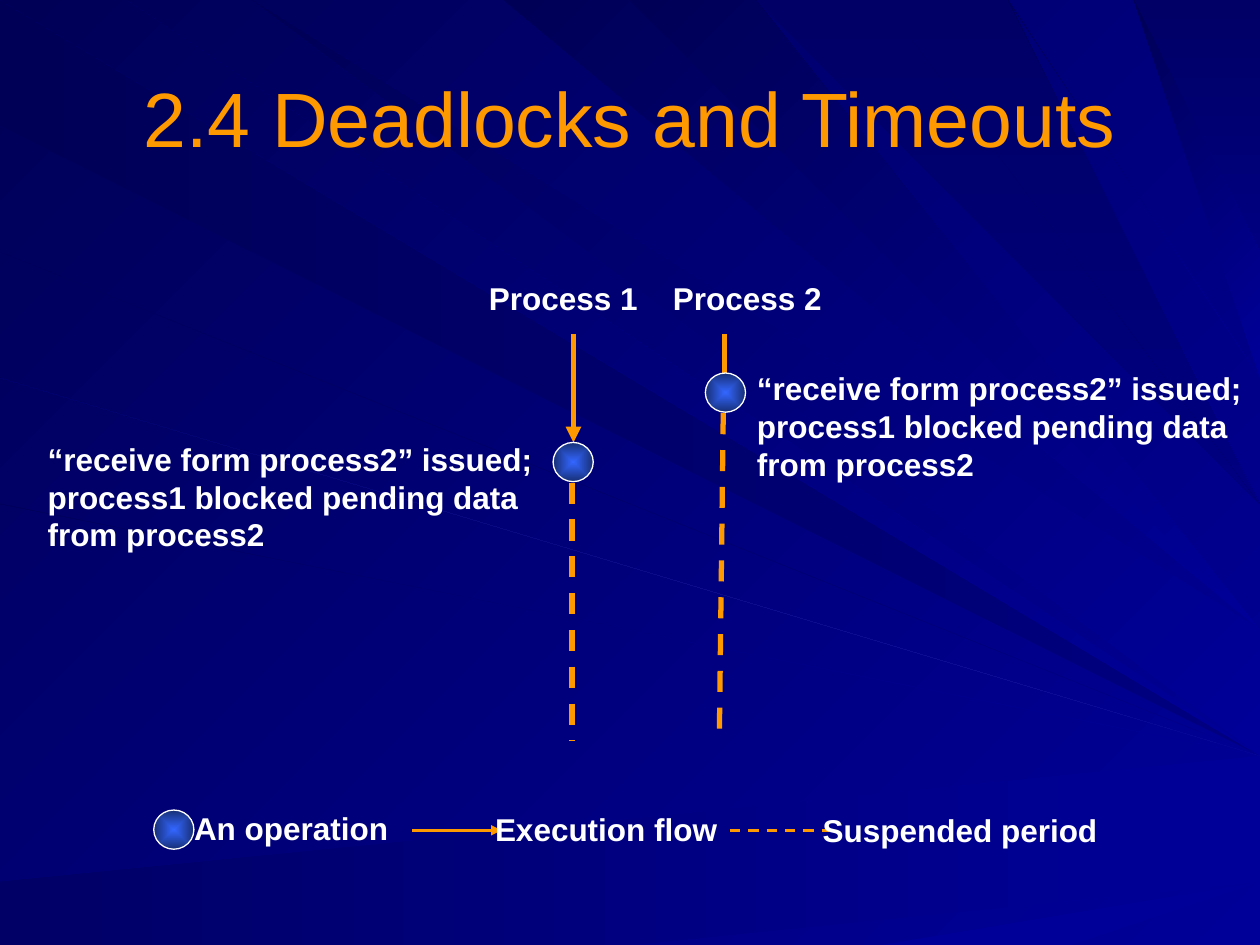
from lxml import etree
from pptx import Presentation
from pptx.dml.color import RGBColor
from pptx.enum.dml import MSO_LINE
from pptx.enum.shapes import MSO_CONNECTOR, MSO_SHAPE
from pptx.enum.text import MSO_ANCHOR, MSO_AUTO_SIZE, PP_ALIGN
from pptx.oxml.ns import qn
from pptx.util import Cm, Pt

ORANGE = RGBColor(0xFF, 0x99, 0x00)
WHITE = RGBColor(0xFF, 0xFF, 0xFF)
BRIGHT_BLUE = RGBColor(0x33, 0x66, 0xFF)
DEEP_BLUE = RGBColor(0x17, 0x2F, 0x75)
GLOW = RGBColor(0x16, 0x16, 0xA1)
ROYAL = RGBColor(0x00, 0x00, 0x99)
NAVY = RGBColor(0x00, 0x00, 0x80)
DUSK = RGBColor(0x00, 0x00, 0x66)
MIDNIGHT = RGBColor(0x00, 0x00, 0x57)
FONT = "Arial"
OVAL = MSO_SHAPE.OVAL
STRAIGHT = MSO_CONNECTOR.STRAIGHT
DASH = MSO_LINE.DASH
CENTER, LEFT = PP_ALIGN.CENTER, PP_ALIGN.LEFT
MIDDLE = MSO_ANCHOR.MIDDLE
GROW = MSO_AUTO_SIZE.SHAPE_TO_FIT_TEXT
UNIT = Cm(2.54)  # one unit of the ray positions below
RIGHT_EDGE, BOTTOM_EDGE = 10, 7.5

# Every ray runs from one edge of the page to the right edge.
# Group: edge, first colour, last colour, clockwise angle, rays
# Ray: from and to along the starting edge, upper and lower end on the right
RAY_GROUPS = [
    ("left", NAVY, MIDNIGHT, 180, [(0, 0.93, 5.69, 5.7), (5.96, 6.23, 6.31, 6.32), (1.59, 2.28, 5.84, 5.85)]),
    ("left", ROYAL, DUSK, 180, [(6.65, 7.04, 6.43, 6.51), (7.35, 7.5, 6.62, 6.62), (5.52, 5.6, 6.21, 6.23)]),
    ("bottom", ROYAL, ROYAL, 180, [(3.64, 7.42, 6.72, 6.94)]),
    ("top", ROYAL, MIDNIGHT, 225, [(0.26, 1.01, 5.62, 5.63), (3.98, 4.16, 5.15, 5.21),
                                   (4.26, 4.92, 4.79, 5.07), (5.4, 5.52, 4.63, 4.63)]),
    ("top", DUSK, NAVY, 90, [(6.06, 6.61, 4.45, 4.46), (8.87, 9.3, 1.83, 2.37), (9.39, 9.64, 1.14, 1.67)]),
    ("left", ROYAL, MIDNIGHT, 225, [(2.58, 2.7, 5.89, 5.89), (2.78, 3.42, 5.96, 6.02), (3.74, 4.37, 6.05, 6.06)]),
    ("top", ROYAL, MIDNIGHT, 225, [(2.25, 2.47, 5.47, 5.52), (5.77, 5.88, 4.53, 4.54)]),
    ("top", DUSK, NAVY, 90, [(6.86, 7.7, 3.9, 4.28)]),
    ("top", ROYAL, MIDNIGHT, 225, [(7.85, 7.92, 3.54, 3.6), (8.15, 8.24, 3.35, 3.36), (8.65, 8.72, 2.49, 2.58)]),
    ("left", GLOW, DUSK, 180, [(2.83, 3.47, 6.01, 6.06)]),
]

BLOCKED = ["“receive form process2” issued;", "process1 blocked pending data", "from process2"]

# Labels in cm: left, top, width, alignment, lines
LABELS = [
    (9.6, 5.51, 3.51, CENTER, ["Process 1"]),
    (13.31, 5.51, 3.51, CENTER, ["Process 2"]),
    (15.01, 7.32, 10.29, LEFT, BLOCKED),
    (0.71, 8.74, 10.29, LEFT, BLOCKED),
    (3.66, 16.18, 4.42, CENTER, ["An operation"]),
    (9.73, 16.21, 4.98, CENTER, ["Execution flow"]),
    (16.33, 16.23, 6.05, CENTER, ["Suspended period"]),
]

# Flow lines in cm: start x, start y, end x, end y, points wide, dashed, arrow
FLOWS = [
    (11.56, 6.73, 11.56, 8.92, 3, False, True),
    (14.61, 7.52, 14.61, 6.73, 3, False, False),
    (11.53, 9.73, 11.53, 14.94, 3, True, False),
    (14.58, 8.33, 14.5, 14.94, 3, True, False),
    (8.31, 16.74, 10.11, 16.74, 1.5, False, True),
    (14.71, 16.74, 16.71, 16.74, 1.5, True, False),
]

OPERATIONS = [(11.15, 8.92), (14.22, 7.52), (3.1, 16.33)]


def fill_gradient(fill, first, last, clockwise):
    fill.gradient()
    fill.gradient_angle = (360 - clockwise) % 360
    for stop, color in zip(fill.gradient_stops, (first, last)):
        stop.color.rgb = color


def style_run(run, size, color, bold):
    run.font.name = FONT
    run.font.size = Pt(size)
    run.font.bold = bold
    run.font.color.rgb = color


deck = Presentation()
deck.slide_width, deck.slide_height = Cm(25.4), Cm(19.05)
page = deck.slides.add_slide(deck.slide_layouts[5])
fill_gradient(page.background.fill, ROYAL, MIDNIGHT, 225)

for edge, first, last, clockwise, rays in RAY_GROUPS:
    for start, end, upper, lower in rays:
        if edge == "left":
            corners = [(0, end), (0, start)]
        elif edge == "top":
            corners = [(start, 0), (end, 0)]
        else:
            corners = [(end, BOTTOM_EDGE), (start, BOTTOM_EDGE)]
        corners += [(RIGHT_EDGE, upper), (RIGHT_EDGE, lower)]
        builder = page.shapes.build_freeform(*corners[0], scale=UNIT)
        builder.add_line_segments(corners[1:], close=True)
        ray = builder.convert_to_shape()
        ray.shadow.inherit = False
        ray.line.fill.background()
        fill_gradient(ray.fill, first, last, clockwise)

# The title goes in front of the rays
title = page.shapes.title
page.shapes.element.append(title.element)
title.left, title.top, title.width, title.height = Cm(1.27), Cm(0.76), Cm(22.86), Cm(3.18)
title.text_frame.vertical_anchor = MIDDLE
para = title.text_frame.paragraphs[0]
para.alignment = CENTER
span = para.add_run()
span.text = "2.4 Deadlocks and Timeouts"
style_run(span, 44, ORANGE, False)

for start_x, start_y, end_x, end_y, width, dashed, arrow in FLOWS:
    flow = page.shapes.add_connector(STRAIGHT, Cm(start_x), Cm(start_y), Cm(end_x), Cm(end_y))
    flow.line.color.rgb = ORANGE
    flow.line.width = Pt(width)
    if dashed:
        flow.line.dash_style = DASH
    if arrow:
        outline = flow.element.spPr.find(qn("a:ln"))
        etree.SubElement(outline, qn("a:tailEnd"), type="triangle")
    etree.SubElement(flow.element.spPr, qn("a:effectLst"))

for left, top in OPERATIONS:
    operation = page.shapes.add_shape(OVAL, Cm(left), Cm(top), Cm(0.81), Cm(0.79))
    operation.shadow.inherit = False
    operation.line.color.rgb = WHITE
    operation.line.width = Pt(0.75)
    fill_gradient(operation.fill, BRIGHT_BLUE, DEEP_BLUE, 0)
    # Spread the gradient from the centre outwards
    linear = operation.element.spPr.find(".//" + qn("a:lin"))
    radial = etree.Element(qn("a:path"), path="rect")
    etree.SubElement(radial, qn("a:fillToRect"), {side: "50000" for side in "ltrb"})
    linear.getparent().replace(linear, radial)

for left, top, width, alignment, lines in LABELS:
    box = page.shapes.add_textbox(Cm(left), Cm(top), Cm(width), Cm(0.26 + 0.76 * len(lines)))
    frame = box.text_frame
    frame.word_wrap = False
    frame.auto_size = GROW
    for number, line in enumerate(lines):
        para = frame.add_paragraph() if number else frame.paragraphs[0]
        para.alignment = alignment
        span = para.add_run()
        span.text = line
        style_run(span, 18, WHITE, True)

deck.save("out.pptx")
